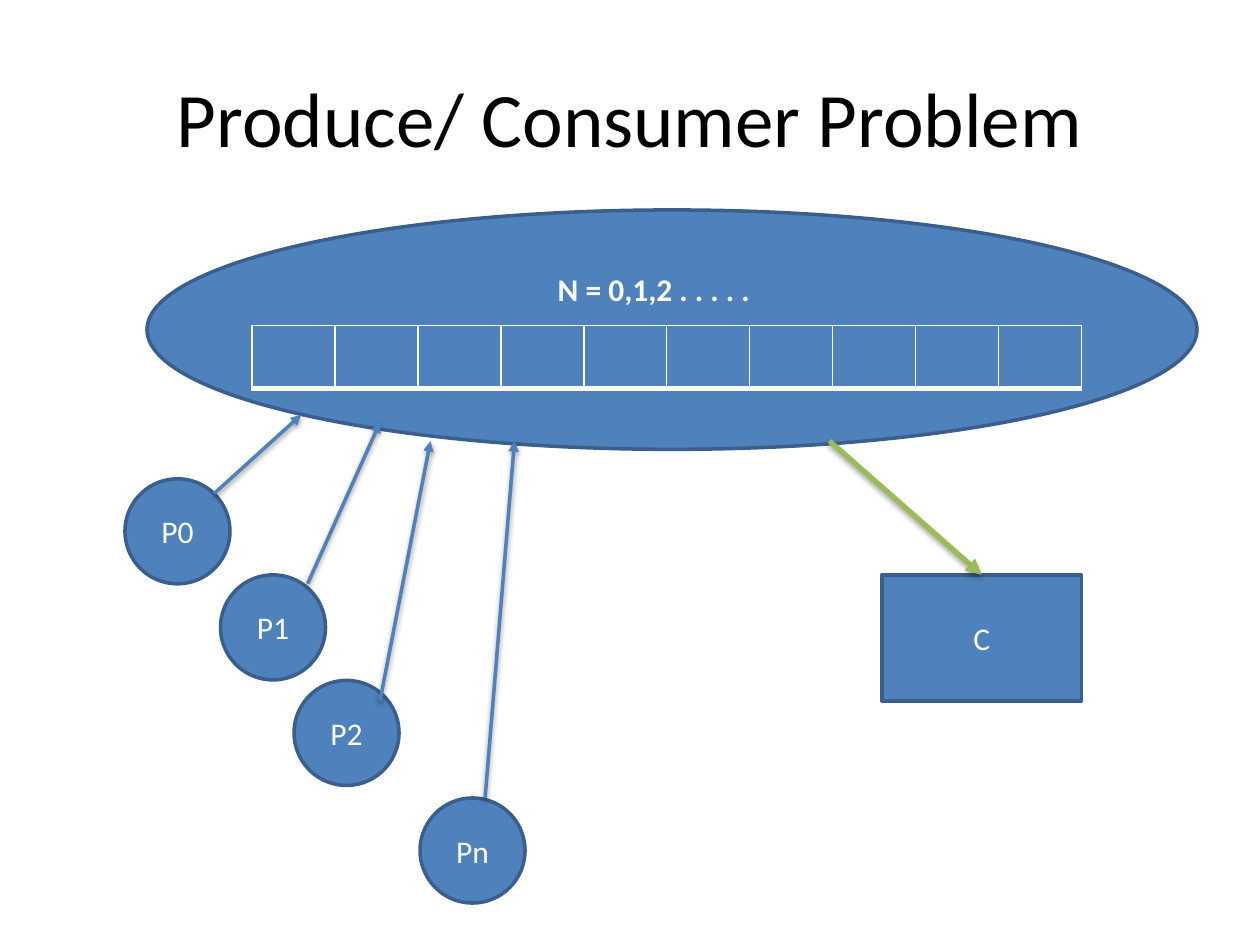
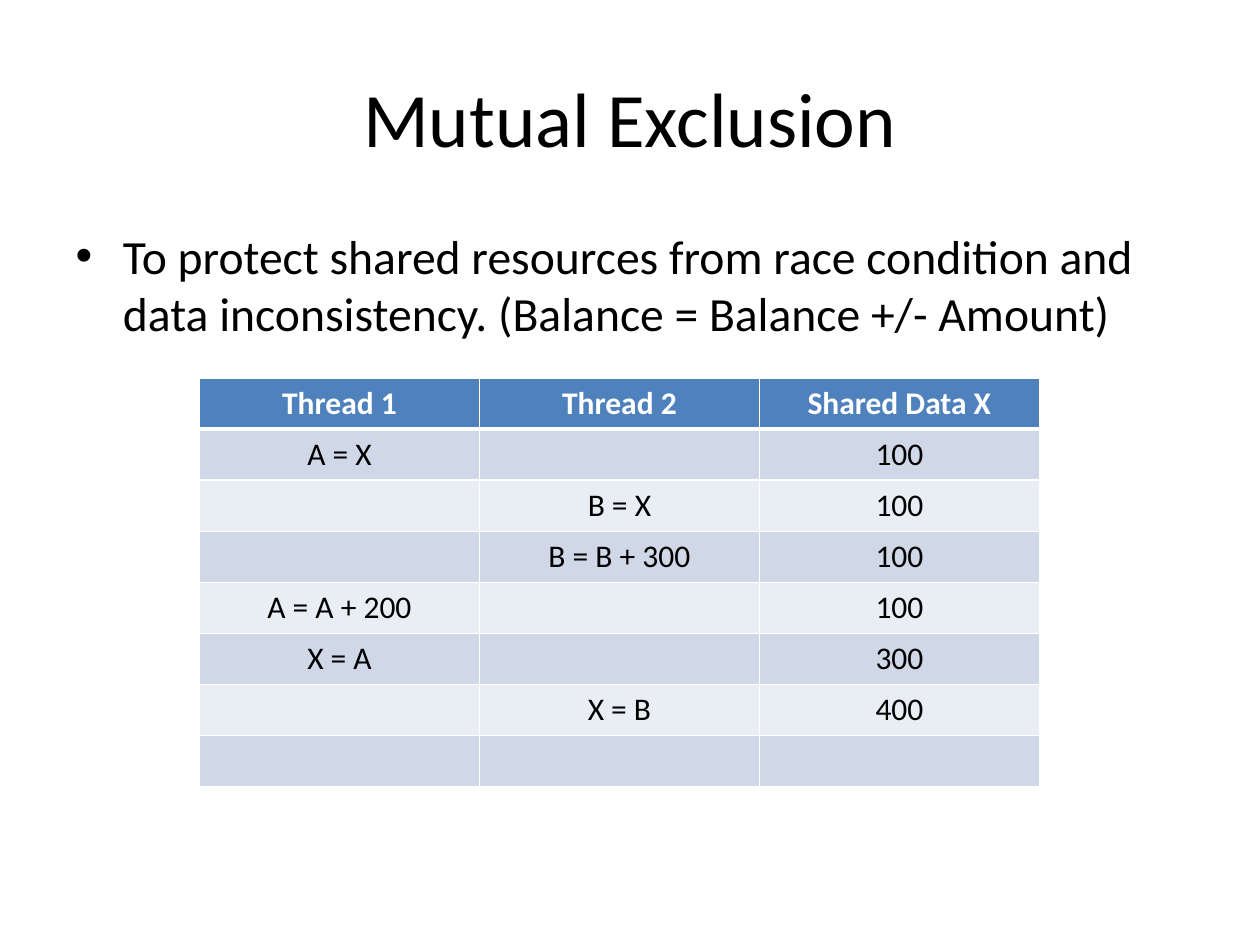
from collections import namedtuple

from lxml.etree import SubElement
from pptx import Presentation
from pptx.dml.color import RGBColor
from pptx.enum.shapes import MSO_CONNECTOR as Connector
from pptx.enum.shapes import MSO_SHAPE as Shape
from pptx.enum.text import MSO_ANCHOR as Anchor
from pptx.enum.text import PP_ALIGN as Align
from pptx.oxml.ns import qn
from pptx.util import Inches, Pt

# Every length is counted in cells of a 120 x 90 grid over the slide.
COLUMNS, ROWS = 120, 90
WIDTH, HEIGHT = Inches(10), Inches(7.5)
Box = namedtuple("Box", "left top width height")

FONT = "Calibri"
BLUE, DARK_BLUE, GREEN = "4F81BD", "3A5F8C", "9BBB59"
BLACK, WHITE = "000000", "FFFFFF"
BANDS = ("E9EDF4", "D0D8E8")
PLAIN_TABLE_STYLE = "{2D5ABB26-0587-4C30-8999-92F81FD0307C}"

TITLE_BOX = Box(6, 3.6, 108, 15)
BUFFER_SLOTS = 10
PRODUCER_SIZE = 10
# name, circle's left and top, arrow's start and end, all within the region
PRODUCERS = [
    ("P0", (0, 6.1), (8.5, 7.5), (16.8, 0)),
    ("P1", (9.1, 15.25), (17.4, 16.1), (24.3, 0.7)),
    ("P2", (16.1, 25.3), (24.3, 27.2), (29.1, 2.5)),
    ("Pn", (28.1, 36.5), (34.3, 36.5), (37.1, 2.5)),
]
THREAD_STEPS = [
    ("Thread 1", "Thread 2", "Shared Data X"),
    ("A = X", "", "100"),
    ("", "B = X", "100"),
    ("", "B = B + 300", "100"),
    ("A = A + 200", "", "100"),
    ("X = A", "", "300"),
    ("", "X = B", "400"),
    ("", "", ""),
]


def rgb(code):
    return RGBColor.from_string(code)


def across(columns):
    return round(WIDTH * columns / COLUMNS)


def down(rows):
    return round(HEIGHT * rows / ROWS)


def emu(box):
    return across(box.left), down(box.top), across(box.width), down(box.height)


def format_text(paragraph, size, color, bold=False, align=Align.CENTER):
    paragraph.alignment = align
    font = paragraph.font
    font.name, font.size, font.bold = FONT, Pt(size), bold
    font.color.rgb = rgb(color)


def fill_placeholder(placeholder, box, text, size, align):
    placeholder.left, placeholder.top, placeholder.width, placeholder.height = emu(box)
    placeholder.text_frame.text = text
    format_text(placeholder.text_frame.paragraphs[0], size, BLACK, align=align)


def add_titled_slide(deck, layout, title):
    slide = deck.slides.add_slide(deck.slide_layouts.get_by_name(layout))
    fill_placeholder(slide.shapes.title, TITLE_BOX, title, 44, Align.CENTER)
    slide.shapes.title.text_frame.vertical_anchor = Anchor.MIDDLE
    return slide


def add_node(slide, preset, box, label=""):
    node = slide.shapes.add_shape(preset, *emu(box))
    node.shadow.inherit = False
    node.fill.solid()
    node.fill.fore_color.rgb = rgb(BLUE)
    node.line.color.rgb = rgb(DARK_BLUE)
    node.line.width = Pt(2)
    if label:
        node.text_frame.text = label
        node.text_frame.vertical_anchor = Anchor.MIDDLE
        format_text(node.text_frame.paragraphs[0], 18, WHITE)
    return node


def add_arrow(slide, start, end, color, width, shadow_distance, shadow_opacity):
    """Draw an arrow with a soft shadow beneath; opacity is in percent."""
    arrow = slide.shapes.add_connector(
        Connector.STRAIGHT, across(start[0]), down(start[1]), across(end[0]), down(end[1]))
    arrow.line.color.rgb = rgb(color)
    arrow.line.width = Pt(width)
    SubElement(arrow.line._get_or_add_ln(), qn("a:tailEnd"), type="triangle")
    effects = SubElement(arrow._element.spPr, qn("a:effectLst"))
    shadow = SubElement(effects, qn("a:outerShdw"), blurRad=str(Pt(3.1)),
                        dist=str(Pt(shadow_distance)), dir="5400000", rotWithShape="0")
    black = SubElement(shadow, qn("a:srgbClr"), val=BLACK)
    SubElement(black, qn("a:alpha"), val=str(shadow_opacity * 1000))
    return arrow


def add_plain_table(slide, box, row_count, column_count):
    table = slide.shapes.add_table(row_count, column_count, *emu(box)).table
    table.first_row = table.horz_banding = False
    table._tbl.tblPr.find(qn("a:tableStyleId")).text = PLAIN_TABLE_STYLE
    for column in table.columns:
        column.width = across(box.width / column_count)
    for row in table.rows:
        row.height = down(box.height / row_count)
    return table


def paint_cell(cell, color, top=1, bottom=1):
    """Fill a cell and give it white borders; widths are in points."""
    properties = cell._tc.get_or_add_tcPr()
    for side, width in (("L", 1), ("R", 1), ("T", top), ("B", bottom)):
        border = SubElement(properties, qn(f"a:ln{side}"), w=str(Pt(width)))
        SubElement(SubElement(border, qn("a:solidFill")), qn("a:srgbClr"), val=WHITE)
    cell.fill.solid()
    cell.fill.fore_color.rgb = rgb(color)


def write_cell(cell, text, color, bold=False):
    cell.text = text
    format_text(cell.text_frame.paragraphs[0], 18, color, bold)


def draw_buffer(slide, box):
    add_node(slide, Shape.OVAL, box)
    slots = add_plain_table(
        slide, Box(box.left + 10, box.top + 11, 79, 6), 1, BUFFER_SLOTS)
    for slot in slots.rows[0].cells:
        paint_cell(slot, BLUE, bottom=3)
    caption = add_plain_table(slide, Box(box.left + 9, box.top + 5.3, 80, 4.4), 2, 1)
    write_cell(caption.cell(0, 0), "N = 0,1,2 . . . . .", WHITE, bold=True)
    caption.cell(0, 0).margin_right = Inches(0.22)


def draw_producers(slide, box):
    def place(point):
        return box.left + point[0], box.top + point[1]

    for name, corner, _, _ in PRODUCERS:
        add_node(slide, Shape.OVAL,
                 Box(*place(corner), PRODUCER_SIZE, PRODUCER_SIZE), name)
    for _, _, start, end in PRODUCERS:
        add_arrow(slide, place(start), place(end), BLUE, 2, 1.6, 38)


def draw_consumer(slide, box):
    consumer = add_node(slide, Shape.RECTANGLE, box, "C")
    arrow = add_arrow(slide, (box.left - 5, box.top - 12.75),
                      (box.left + box.width / 2, box.top), GREEN, 3, 1.8, 35)
    arrow.end_connect(consumer, 0)


def draw_thread_steps(slide, box):
    table = add_plain_table(slide, box, len(THREAD_STEPS), len(THREAD_STEPS[0]))
    table.first_row = True
    for row, step in enumerate(THREAD_STEPS):
        header = row == 0
        for column, text in enumerate(step):
            cell = table.cell(row, column)
            paint_cell(cell, BLUE if header else BANDS[row % 2],
                       top=3 if row == 1 else 1, bottom=3 if header else 1)
            write_cell(cell, text, WHITE if header else BLACK, header)


def build_producer_consumer(deck):
    slide = add_titled_slide(deck, "Title Only", "Produce/ Consumer Problem")
    draw_buffer(slide, Box(14, 20, 100, 22.8))
    draw_producers(slide, Box(11.9, 39.5, 38.1, 46.5))
    draw_consumer(slide, Box(84, 54.75, 19, 12))


def build_mutual_exclusion(deck):
    slide = add_titled_slide(deck, "Title and Content", "Mutual Exclusion")
    fill_placeholder(
        slide.placeholders[1], Box(6, 21, 108, 15),
        "To protect shared resources from race condition and data inconsistency. "
        "(Balance = Balance +/- Amount)", 27.2, Align.LEFT)
    draw_thread_steps(slide, Box(19, 36, 80, 38.9))


def main():
    deck = Presentation()
    deck.slide_width, deck.slide_height = WIDTH, HEIGHT
    build_producer_consumer(deck)
    build_mutual_exclusion(deck)
    deck.save("out.pptx")


if __name__ == "__main__":
    main()
